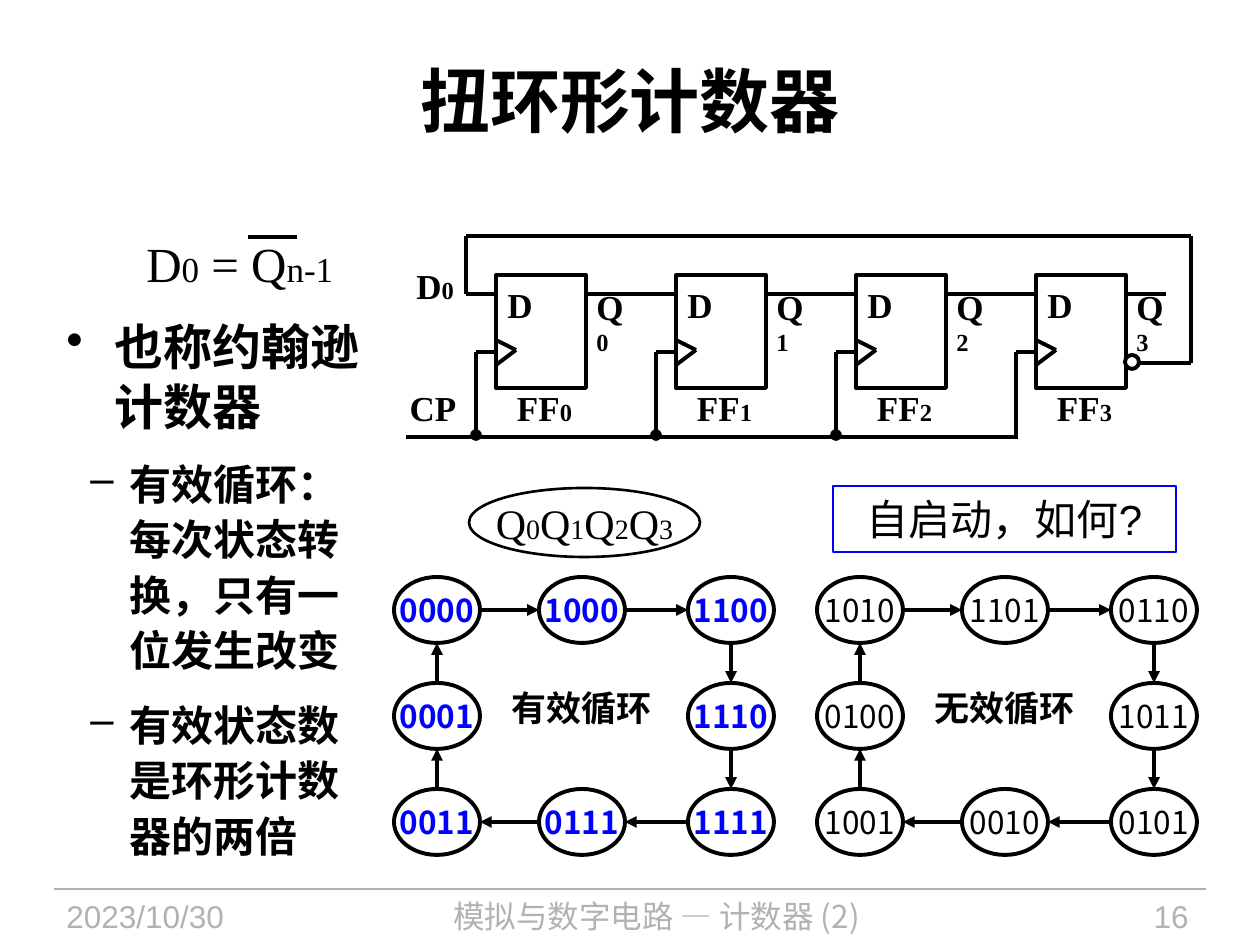
from dataclasses import dataclass
from itertools import pairwise

from lxml.etree import SubElement
from pptx import Presentation
from pptx.dml.color import RGBColor as RGB
from pptx.enum.shapes import MSO_CONNECTOR as CONN, MSO_SHAPE as SHAPE
from pptx.enum.text import MSO_ANCHOR as ANCHOR, PP_ALIGN as ALIGN
from pptx.oxml import parse_xml
from pptx.oxml.ns import nsdecls, qn
from pptx.util import Emu, Pt


@dataclass(frozen=True)
class Theme:
    black: RGB = RGB(0, 0, 0)
    white: RGB = RGB(255, 255, 255)
    blue: RGB = RGB(0, 0, 255)
    gray: RGB = RGB(0xB2, 0xB2, 0xB2)
    serif: str = "Times New Roman"
    sans: str = "Arial"
    han: str = "Noto Sans CJK SC"
    title: int = 40
    body: int = 28
    item: int = 24
    label: int = 20
    small: int = 18
    wire: float = 2.25
    frame: float = 1.5
    hair: float = 0.75


T = Theme()
SUBS = {T.body: 20, T.item: 16, T.label: 14}
LEFT, MID, RIGHT = ALIGN.LEFT, ALIGN.CENTER, ALIGN.RIGHT


def px(n):
    return Emu(round(n * 914400 / 126))


def style(para, size, face=T.serif, color=T.black, bold=False, align=MID):
    para.alignment = align
    font = para.font
    font.size, font.name, font.bold = Pt(size), face, bold
    font.color.rgb = color
    mark = para._p.pPr.find(qn("a:defRPr"))
    SubElement(mark, qn("a:ea")).set("typeface", T.han)


def write(shape, parts, size, wrap=False, **look):
    """Fill a shape with one line; every second part is a subscript."""
    frame = shape.text_frame
    frame.word_wrap = wrap
    frame.vertical_anchor = ANCHOR.MIDDLE
    para = frame.paragraphs[0]
    style(para, size, **look)
    for i, part in enumerate(parts):
        run = para.add_run()
        run.text = part
        if i % 2:
            run.font.size = Pt(SUBS[size])


def label(slide, box, parts, size=T.label, **look):
    write(slide.shapes.add_textbox(*map(px, box)), parts, size, **look)


def bullets(slide, box, items, size, sign, left, hang, pitch, gap):
    """List with a fixed line pitch and a gap after each item, in points."""
    frame = slide.shapes.add_textbox(*map(px, box)).text_frame
    frame.word_wrap = True
    for i, item in enumerate(items):
        para = frame.add_paragraph() if i else frame.paragraphs[0]
        para.text = item
        style(para, size, bold=True, align=LEFT)
        para.line_spacing, para.space_after = Pt(pitch), Pt(gap)
        props = para._p.pPr
        props.set("marL", str(px(left)))
        props.set("indent", str(px(-hang)))
        props.find(qn("a:defRPr")).addprevious(
            parse_xml(f'<a:buChar {nsdecls("a")} char="{sign}"/>'))


def outline(slide, kind, box, color=T.black, width=T.wire, fill=None):
    shape = slide.shapes.add_shape(kind, *map(px, box))
    shape.shadow.inherit = False
    if fill is None:
        shape.fill.background()
    else:
        shape.fill.solid()
        shape.fill.fore_color.rgb = fill
    shape.line.color.rgb, shape.line.width = color, Pt(width)
    return shape


def line(slide, start, end, tip=None, color=T.black, width=T.wire):
    wire = slide.shapes.add_connector(CONN.STRAIGHT, *map(px, (*start, *end)))
    wire.line.color.rgb, wire.line.width = color, Pt(width)
    props = wire._element.spPr
    if tip:
        SubElement(props.find(qn("a:ln")), qn("a:tailEnd")).set("type", tip)
    SubElement(props, qn("a:effectLst"))


def route(slide, *points):
    for start, end in pairwise(points):
        line(slide, start, end)


def stage(slide, i, last):
    """One flip-flop with its clock input, output wire and labels."""
    x = 496 + 180 * i
    outline(slide, SHAPE.RECTANGLE, (x, 275, 90, 113))
    route(slide, (x, 340), (x + 20, 350), (x, 365))
    line(slide, (x - 20, 352), (x, 352))
    line(slide, (x - 20, 352), (x - 20, 439 if last else 435),
         tip=None if last else "oval")
    line(slide, (x + 90, 294), (x + (130 if last else 180), 294))
    label(slide, (x - 1, 277, 50, 54), ["D"], bold=True, align=LEFT)
    label(slide, (x + 8, 380, 81, 54), ["FF", str(i)], bold=True)
    label(slide, (x + 88, 294, 64, 54), ["Q", str(i)], bold=True, align=LEFT)


def circuit(slide):
    for i in range(4):
        stage(slide, i, last=i == 3)
    line(slide, (406, 437), (1016, 437))
    route(slide, (496, 294), (466, 294), (466, 236),
          (1191, 236), (1191, 363), (1125, 363))
    outline(slide, SHAPE.OVAL, (1125, 355, 14, 14), fill=T.white)
    label(slide, (404, 258, 63, 54), ["D", "0"], bold=True, align=LEFT)
    label(slide, (397, 380, 72, 54), ["CP"], bold=True)


def loop(slide, left, name, codes, color, bold):
    """Ring of eight states, clockwise from the top left."""
    wide, high = 86, 66
    a, b, c = (left + dx for dx in (43, 188, 337))
    top, mid, low = 610, 716, 822
    ring = [(a, top), (b, top), (c, top), (c, mid),
            (c, low), (b, low), (a, low), (a, mid)]
    for (x, y), code in zip(ring, codes):
        box = (x - wide // 2, y - high // 2, wide, high)
        write(outline(slide, SHAPE.OVAL, box), [code], T.small,
              face=T.han, color=color, bold=bold)
    for (x, y), (u, v) in pairwise(ring + ring[:1]):
        dx = ((u > x) - (u < x)) * wide // 2
        dy = ((v > y) - (v < y)) * high // 2
        line(slide, (x + dx, y + dy), (u - dx, v - dy), tip="triangle")
    label(slide, (left + 105, 680, 166, 54), [name], face=T.sans, bold=True)


def footer(slide):
    line(slide, (54, 889), (1206, 889), color=T.gray, width=T.hair)
    for x, width, text, face, align in (
            (54, 237, "2023/10/30", T.sans, LEFT),
            (302, 709, "模拟与数字电路 — 计数器 (2)", T.han, MID),
            (1033, 168, "16", T.sans, RIGHT)):
        label(slide, (x, 888, width, 55), [text], T.small, wrap=True,
              face=face, color=T.gray, align=align)


def main():
    deck = Presentation()
    deck.slide_width, deck.slide_height = px(1260), px(945)
    slide = deck.slides.add_slide(deck.slide_layouts[6])
    footer(slide)
    label(slide, (63, 21, 1134, 158), ["扭环形计数器"], T.title,
          wrap=True, bold=True)
    label(slide, (134, 227, 213, 72), ["D", "0", " = Q", "n-1"], T.body,
          align=LEFT)
    line(slide, (248, 237), (297, 237))
    bullets(slide, (54, 309, 324, 144), ["也称约翰逊计数器"],
            T.body, "•", left=48, hang=48, pitch=34.3, gap=5.6)
    bullets(slide, (15, 447, 372, 432),
            ["有效循环：每次状态转换，只有一位发生改变", "有效状态数是环形计数器的两倍"],
            T.item, "–", left=102, hang=39, pitch=31.7, gap=11)
    circuit(slide)
    loop(slide, 394, "有效循环",
         "0000 1000 1100 1110 1111 0111 0011 0001".split(), T.blue, True)
    loop(slide, 817, "无效循环",
         "1010 1101 0110 1011 0101 0010 1001 0100".split(), T.black, False)
    order = outline(slide, SHAPE.OVAL, (469, 488, 231, 69), width=T.frame)
    write(order, "Q0Q1Q2Q3", T.item)
    ask = outline(slide, SHAPE.RECTANGLE, (833, 486, 343, 66), T.blue, T.frame)
    write(ask, ["自启动，如何?"], T.item, wrap=True, face=T.sans)
    deck.save("out.pptx")


if __name__ == "__main__":
    main()
